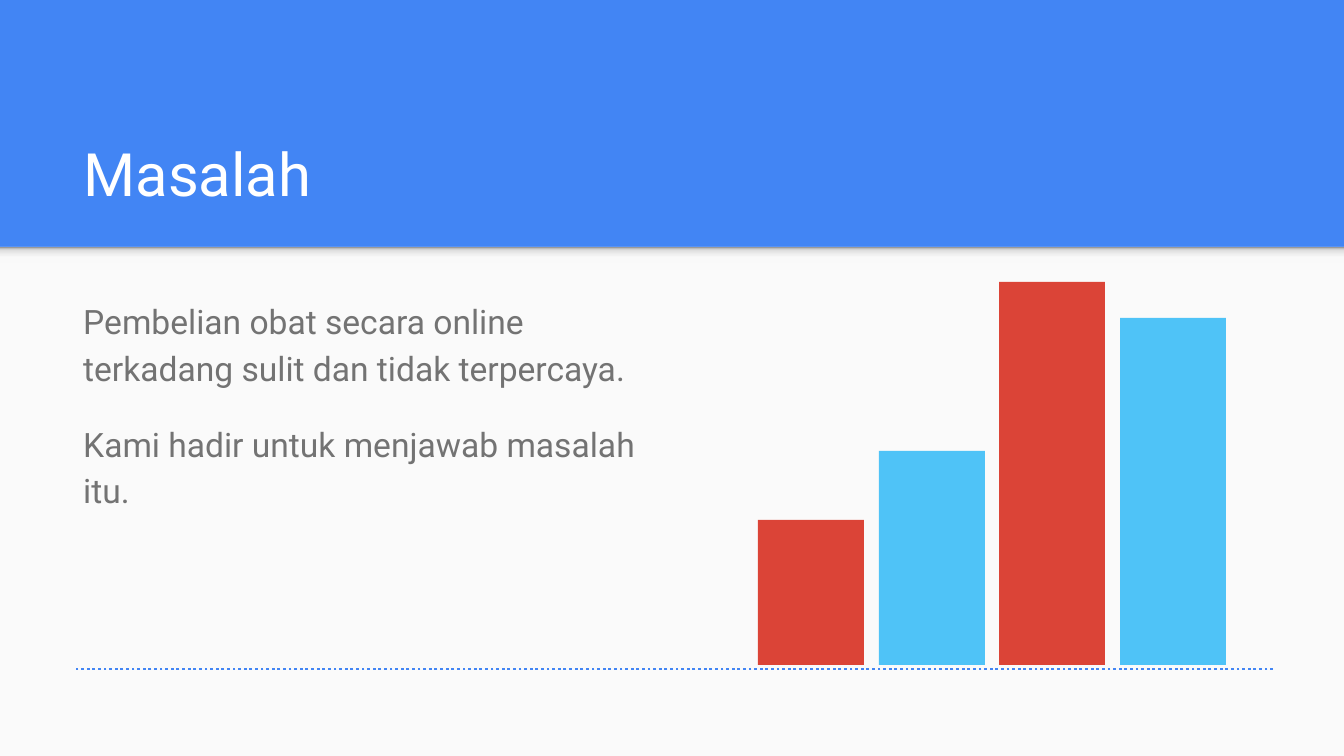
from dataclasses import dataclass

from lxml import etree
from pptx import Presentation
from pptx import util as u
from pptx.dml.color import RGBColor
from pptx.enum import dml, shapes, text
from pptx.oxml.ns import qn

WIDTH, HEIGHT = 1344, 756
SCALE = u.Inches(10) / WIDTH
FONT = "Roboto"
COLORS = {
    "blue": "4285F4", "paper": "FAFAFA", "white": "FFFFFF", "grey": "737373",
    "red": "DB4437", "sky": "4FC3F7",
    "shade_light": "F9F9F9", "shade_mid": "DEDEDE", "shade_dark": "999999",
}
SHADE_STOPS = [(0, "shade_light"), (36, "shade_light"), (80, "shade_mid"), (100, "shade_dark")]
BODY = [
    "Pembelian obat secara online terkadang sulit dan tidak terpercaya.",
    "Kami hadir untuk menjawab masalah itu.",
]
BAND_BOTTOM = 247
BAR_LEFT, BAR_LAST, BAR_WIDTH, BAR_BASE = 758, 1120, 106, 665


@dataclass
class Bar:
    height: int
    color: str


BARS = [Bar(145, "red"), Bar(214, "sky"), Bar(383, "red"), Bar(347, "sky")]


def px(n: int) -> u.Emu:
    return u.Emu(round(n * SCALE))


def rgb(name: str) -> RGBColor:
    return RGBColor.from_string(COLORS[name])


def add_rect(s, x: int, y: int, w: int, h: int, color: str):
    sp = s.shapes.add_shape(shapes.MSO_SHAPE.RECTANGLE, px(x), px(y), px(w), px(h))
    sp.shadow.inherit = False
    sp.fill.solid()
    sp.fill.fore_color.rgb = rgb(color)
    sp.line.fill.background()
    return sp


def set_gradient(sp, stops: list[tuple[int, str]], angle: int) -> None:
    sp.fill.gradient()
    sp.fill.gradient_angle = angle
    gs_list = sp.element.spPr.find(".//" + qn("a:gsLst"))
    for gs in list(gs_list):
        gs_list.remove(gs)
    for percent, color in stops:
        gs = etree.SubElement(gs_list, qn("a:gs"), pos=str(percent * 1000))
        etree.SubElement(gs, qn("a:srgbClr"), val=COLORS[color])


def set_frame(tf, anchor) -> None:
    tf.word_wrap = True
    tf.auto_size = text.MSO_AUTO_SIZE.NONE
    tf.vertical_anchor = anchor
    tf.margin_left = tf.margin_right = tf.margin_top = tf.margin_bottom = u.Inches(0.1)


def set_font(p, size: int, color: str) -> None:
    p.alignment = text.PP_ALIGN.LEFT
    p.font.name = FONT
    p.font.size = u.Pt(size)
    p.font.color.rgb = rgb(color)


def add_title(s, title: str) -> None:
    sp = s.shapes.title
    sp.left, sp.top, sp.width, sp.height = px(70), px(109), px(1208), px(113)
    tf = sp.text_frame
    set_frame(tf, text.MSO_ANCHOR.BOTTOM)
    tf.text = title
    set_font(tf.paragraphs[0], 32, "white")


def add_body(s, lines: list[str]) -> None:
    tf = s.shapes.add_textbox(px(70), px(282), px(617), px(398)).text_frame
    set_frame(tf, text.MSO_ANCHOR.TOP)
    for i, line in enumerate(lines):
        p = tf.add_paragraph() if i else tf.paragraphs[0]
        p.text = line
        p.line_spacing = 1.15
        if i:
            p.space_before = u.Pt(16)
        set_font(p, 18, "grey")


def add_baseline(s, x1: int, x2: int, y: int) -> None:
    line = s.shapes.add_connector(shapes.MSO_CONNECTOR.STRAIGHT, px(x1), px(y), px(x2), px(y))
    line.line.color.rgb = rgb("blue")
    line.line.width = u.Pt(1.5)
    line.line.dash_style = dml.MSO_LINE.ROUND_DOT
    etree.SubElement(line.element.spPr, qn("a:effectLst"))


def main() -> None:
    prs = Presentation()
    prs.slide_width, prs.slide_height = px(WIDTH), px(HEIGHT)
    s = prs.slides.add_slide(prs.slide_layouts[5])
    s.background.fill.solid()
    s.background.fill.fore_color.rgb = rgb("blue")

    # Light panel with a soft shade below the title band
    add_rect(s, 0, BAND_BOTTOM, WIDTH, HEIGHT - BAND_BOTTOM, "paper")
    shade = add_rect(s, 0, BAND_BOTTOM, WIDTH, 16, "shade_light")
    set_gradient(shade, SHADE_STOPS, 90)

    # Text
    add_title(s, "Masalah")
    add_body(s, BODY)

    # Decorative bars, evenly spaced on a dotted baseline
    step = (BAR_LAST - BAR_LEFT) / (len(BARS) - 1)
    for i, bar in enumerate(BARS):
        x = BAR_LEFT + round(i * step)
        add_rect(s, x, BAR_BASE - bar.height, BAR_WIDTH, bar.height, bar.color)
    add_baseline(s, 1273, 75, 669)

    prs.save("out.pptx")


if __name__ == "__main__":
    main()
